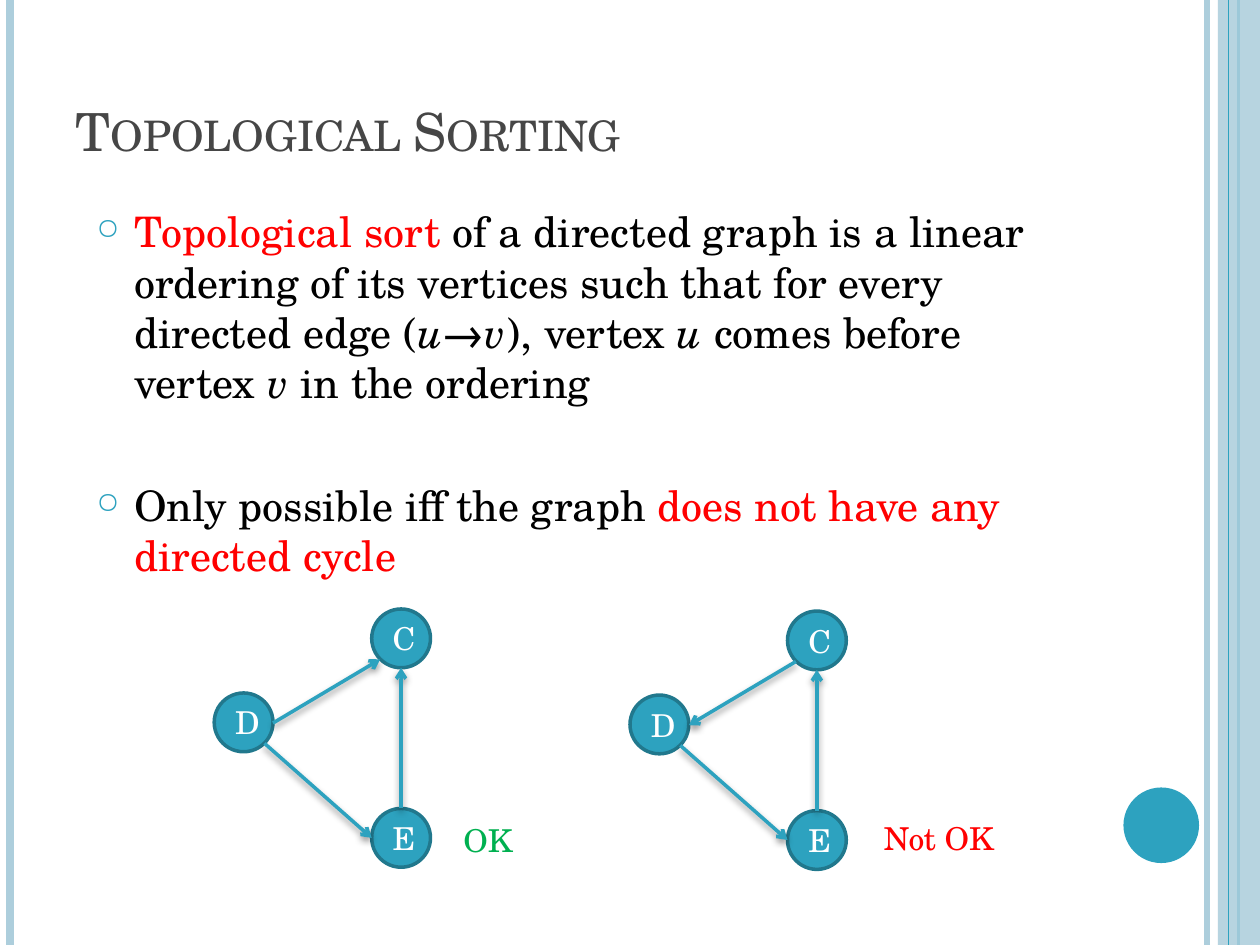
from lxml.etree import SubElement
from pptx import Presentation
from pptx.dml.color import RGBColor
from pptx.enum.shapes import MSO_CONNECTOR, MSO_SHAPE
from pptx.enum.text import MSO_ANCHOR, PP_ALIGN
from pptx.oxml.ns import qn
from pptx.util import Pt

FONT = "TeX Gyre Schola"
TEAL = RGBColor(0x2D, 0xA2, 0xBF)
DARK_TEAL = RGBColor(0x21, 0x78, 0x8D)
PALE_TEAL = RGBColor(0xAD, 0xCE, 0xDC)
GRAY = RGBColor(0x46, 0x46, 0x46)
BLACK = RGBColor(0x00, 0x00, 0x00)
WHITE = RGBColor(0xFF, 0xFF, 0xFF)
RED = RGBColor(0xFF, 0x00, 0x00)
GREEN = RGBColor(0x00, 0xB0, 0x50)

deck = Presentation()
deck.slide_width, deck.slide_height = Pt(720), Pt(540)
page = deck.slides.add_slide(deck.slide_layouts[6])


def add_line(start, end, color, width):
    line = page.shapes.add_connector(
        MSO_CONNECTOR.STRAIGHT, *[Pt(value) for value in (*start, *end)])
    line.line.color.rgb = color
    line.line.width = Pt(width)
    effects = SubElement(line.element.spPr, qn("a:effectLst"))
    return line, effects


def add_solid(kind, left, top, width, height, color):
    shape = page.shapes.add_shape(kind, Pt(left), Pt(top), Pt(width), Pt(height))
    shape.shadow.inherit = False
    shape.fill.solid()
    shape.fill.fore_color.rgb = color
    shape.line.fill.background()
    return shape


for x, color, width in [(689.76, PALE_TEAL, 3), (5.76, PALE_TEAL, 4.5), (707.76, TEAL, 1.5)]:
    add_line((x, 0), (x, 540), color, width)
band = add_solid(MSO_SHAPE.RECTANGLE, 696, 0, 24, 540, PALE_TEAL)
SubElement(band.element.spPr.find(".//" + qn("a:srgbClr")), qn("a:alpha"), val="87000")
add_line((702, 0), (702, 540), TEAL, 0.75)
add_solid(MSO_SHAPE.OVAL, 642, 450, 43.2, 43.2, TEAL)

title = page.shapes.add_textbox(Pt(36), Pt(21.6), Pt(588), Pt(74.4))
title.text_frame.word_wrap = True
title.text_frame.vertical_anchor = MSO_ANCHOR.BOTTOM
title.text_frame.text = "Topological Sorting"
span = title.text_frame.paragraphs[0].runs[0]
span.font.name, span.font.size = FONT, Pt(30)
span.font.color.rgb = GRAY
span.font._element.set("cap", "small")

points = [
    [("Topological sort ", RED, False),
     ("of a directed graph is a linear ordering of its vertices such that "
      "for every directed edge (", BLACK, False),
     ("u→v", BLACK, True), ("), vertex ", BLACK, False), ("u", BLACK, True),
     (" comes before ", BLACK, False), None,
     ("vertex ", BLACK, False), ("v", BLACK, True), (" in the ordering", BLACK, False)],
    [("Only possible iff the graph ", BLACK, False),
     ("does not have any directed cycle", RED, False)],
]
body = page.shapes.add_textbox(Pt(48), Pt(114), Pt(588), Pt(234))
body.text_frame.word_wrap = True
for index, pieces in enumerate(points):
    para = body.text_frame.add_paragraph() if index else body.text_frame.paragraphs[0]
    if index:
        para.space_before = Pt(41)
    props = para._p.get_or_add_pPr()
    props.set("marL", str(Pt(21.6)))
    props.set("indent", str(-Pt(21.6)))
    bullet_color = SubElement(props, qn("a:buClr"))
    SubElement(bullet_color, qn("a:srgbClr"), val=str(TEAL))
    SubElement(props, qn("a:buSzPct"), val="70000")
    SubElement(props, qn("a:buChar"), char="○")
    para.font.name, para.font.size = FONT, Pt(24)
    for piece in pieces:
        if piece is None:
            para.add_line_break()
            continue
        span = para.add_run()
        span.text, color, span.font.italic = piece
        span.font.name, span.font.size = FONT, Pt(24)
        span.font.color.rgb = color

nodes = [("D", 122.4, 396), ("E", 212.4, 462), ("C", 212.4, 348)]
d_to_e = ((151.2, 424.8), (212.4, 478.8))
d_to_c = ((156, 413.2), (217.2, 376.8))
c_to_d = d_to_c[::-1]
e_to_c = ((229.2, 462), (229.2, 381.6))
graphs = [(0, 0, [d_to_e, d_to_c, e_to_c]), (237.6, 1.2, [d_to_e, c_to_d, e_to_c])]

for shift_x, shift_y, edges in graphs:
    for name, left, top in nodes:
        node = add_solid(MSO_SHAPE.OVAL, left + shift_x, top + shift_y, 33.6, 33.6, TEAL)
        node.line.color.rgb = DARK_TEAL
        node.line.width = Pt(2)
        node.text_frame.text = name
        node.text_frame.vertical_anchor = MSO_ANCHOR.MIDDLE
        para = node.text_frame.paragraphs[0]
        para.alignment = PP_ALIGN.CENTER
        span = para.runs[0]
        span.font.name, span.font.size = FONT, Pt(18)
        span.font.color.rgb = WHITE
    for edge in edges:
        start, end = [(x + shift_x, y + shift_y) for x, y in edge]
        arrow, effects = add_line(start, end, TEAL, 2)
        SubElement(arrow.element.spPr.find(qn("a:ln")), qn("a:tailEnd"), type="arrow")
        shadow = SubElement(effects, qn("a:outerShdw"), blurRad=str(Pt(4)),
                            dist=str(Pt(2)), dir="5400000", rotWithShape="0")
        shadow_color = SubElement(shadow, qn("a:srgbClr"), val=str(BLACK))
        SubElement(shadow_color, qn("a:alpha"), val="40000")

for text, left, top, width, color in [("OK", 257.76, 465.84, 42.48, GREEN),
                                      ("Not OK", 498, 464.4, 78.48, RED)]:
    box = page.shapes.add_textbox(Pt(left), Pt(top), Pt(width), Pt(28.8))
    box.text_frame.word_wrap = False
    box.text_frame.text = text
    span = box.text_frame.paragraphs[0].runs[0]
    span.font.name, span.font.size = FONT, Pt(18)
    span.font.color.rgb = color

deck.save("out.pptx")
